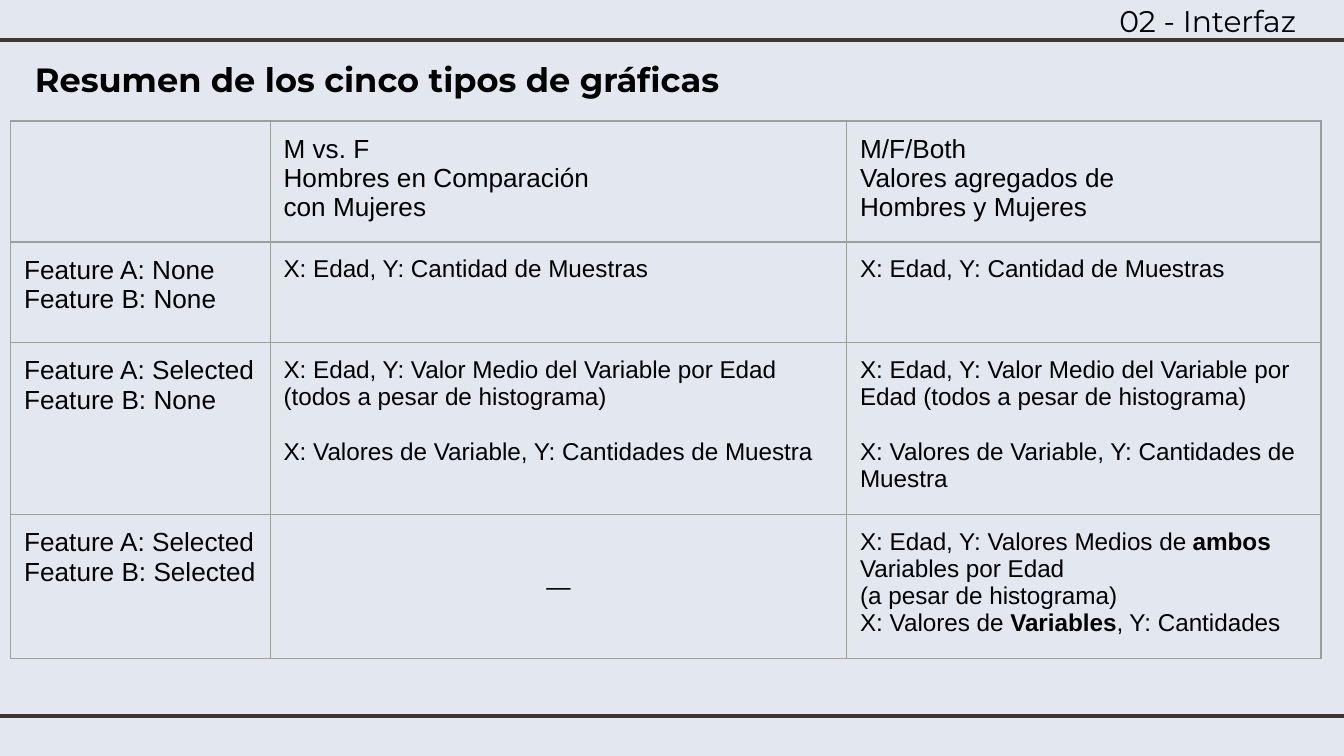
from lxml import etree
from pptx import Presentation, util as u
from pptx.dml.color import RGBColor
from pptx.enum import shapes, text
from pptx.oxml import parse_xml
from pptx.oxml.ns import nsdecls, qn

W = 10
H = W * 9 / 16
COLORS = {"bg": "E3E7F0", "rule": "3F3533", "text": "000000", "grid": "9E9E9E"}
COLS = [1.93, 4.29, 3.53]
ROWS = [0.9, 0.75, 1.28, 1.07]
HEAD_SIZE, BODY_SIZE, GAP = 14, 13, 15

COUNT = ["X: Edad, Y: Cantidad de Muestras"]
MEAN = [
    "X: Edad, Y: Valor Medio del Variable por Edad (todos a pesar de histograma)",
    "X: Valores de Variable, Y: Cantidades de Muestra",
]
# Each cell is a list of paragraphs; ** switches bold on and off
CELLS = [
    [[],
     ["M vs. F", "Hombres en Comparación", "con Mujeres"],
     ["M/F/Both", "Valores agregados de", "Hombres y Mujeres"]],
    [["Feature A: None", "Feature B: None"], COUNT, COUNT],
    [["Feature A: Selected", "Feature B: None"], MEAN, MEAN],
    [["Feature A: Selected", "Feature B: Selected"],
     ["—"],
     ["X: Edad, Y: Valores Medios de **ambos** Variables por Edad",
      "(a pesar de histograma)",
      "X: Valores de **Variables**, Y: Cantidades"]],
]


def rgb(name):
    return RGBColor.from_string(COLORS[name])


def add_run(p, words, size, font, bold=False):
    r = p.add_run()
    r.text = words
    r.font.size, r.font.name, r.font.bold = u.Pt(size), font, bold
    r.font.color.rgb = rgb("text")


def add_rule(s, y):
    ln = s.shapes.add_connector(shapes.MSO_CONNECTOR.STRAIGHT, u.Inches(-0.08),
                                u.Inches(y), u.Inches(W + 0.08), u.Inches(y))
    ln.line.color.rgb, ln.line.width = rgb("rule"), u.Pt(2.25)
    etree.SubElement(ln._element.spPr, qn("a:effectLst"))


def fill_heading(sp, box, words, size, bold=False):
    sp.left, sp.top, sp.width, sp.height = [u.Inches(v) for v in box]
    tf = sp.text_frame
    tf.word_wrap, tf.auto_size = True, text.MSO_AUTO_SIZE.NONE
    tf.vertical_anchor = text.MSO_ANCHOR.TOP
    tf.margin_left = tf.margin_right = tf.margin_top = tf.margin_bottom = u.Inches(0.1)
    p = tf.paragraphs[0]
    p.alignment = text.PP_ALIGN.LEFT
    add_run(p, words, size, "Montserrat", bold)


def add_borders(cell):
    # Borders go before the fill in the cell properties
    tcPr = cell._tc.get_or_add_tcPr()
    for i, side in enumerate(("lnL", "lnR", "lnT", "lnB")):
        tcPr.insert(i, parse_xml(
            f'<a:{side} {nsdecls("a")} w="{u.Pt(0.75)}"><a:solidFill>'
            f'<a:srgbClr val="{COLORS["grid"]}"/></a:solidFill></a:{side}>'))


def fill_cell(cell, lines, size, gap):
    cell.fill.background()
    add_borders(cell)
    cell.margin_left = cell.margin_right = cell.margin_top = cell.margin_bottom = u.Inches(0.1)
    tf = cell.text_frame
    for i, line in enumerate(lines):
        p = tf.add_paragraph() if i else tf.paragraphs[0]
        if i and gap:
            p.space_before = u.Pt(gap)
        for j, words in enumerate(line.split("**")):
            add_run(p, words, size, "Arial", j % 2 == 1)
    if lines == ["—"]:
        cell.vertical_anchor = text.MSO_ANCHOR.MIDDLE
        tf.paragraphs[0].alignment = text.PP_ALIGN.CENTER


def add_summary_table(s, left, top):
    tbl = s.shapes.add_table(len(ROWS), len(COLS), u.Inches(left), u.Inches(top),
                             u.Inches(sum(COLS)), u.Inches(sum(ROWS))).table
    tbl.first_row = tbl.horz_banding = False
    for col, width in zip(tbl.columns, COLS):
        col.width = u.Inches(width)
    for r, (row, height) in enumerate(zip(tbl.rows, ROWS)):
        row.height = u.Inches(height)
        for c, lines in enumerate(CELLS[r]):
            size = BODY_SIZE if r and c else HEAD_SIZE
            fill_cell(tbl.cell(r, c), lines, size, GAP if lines is MEAN else 0)


def main():
    prs = Presentation()
    prs.slide_width, prs.slide_height = u.Inches(W), u.Inches(H)
    s = prs.slides.add_slide(prs.slide_layouts[5])
    s.background.fill.solid()
    s.background.fill.fore_color.rgb = rgb("bg")

    # Rules at head and foot
    for y in (0.3, 5.33):
        add_rule(s, y)
    # Section label and title
    label = s.shapes.add_textbox(0, 0, 0, 0)
    fill_heading(label, (8.23, -0.08, 2.55, 0.47), "02 - Interfaz", 16)
    fill_heading(s.shapes.title, (0.16, 0.34, 6.55, 1.11),
                 "Resumen de los cinco tipos de gráficas", 18, True)
    # Table of chart types
    add_summary_table(s, 0.08, 0.9)
    prs.save("out.pptx")


if __name__ == "__main__":
    main()
